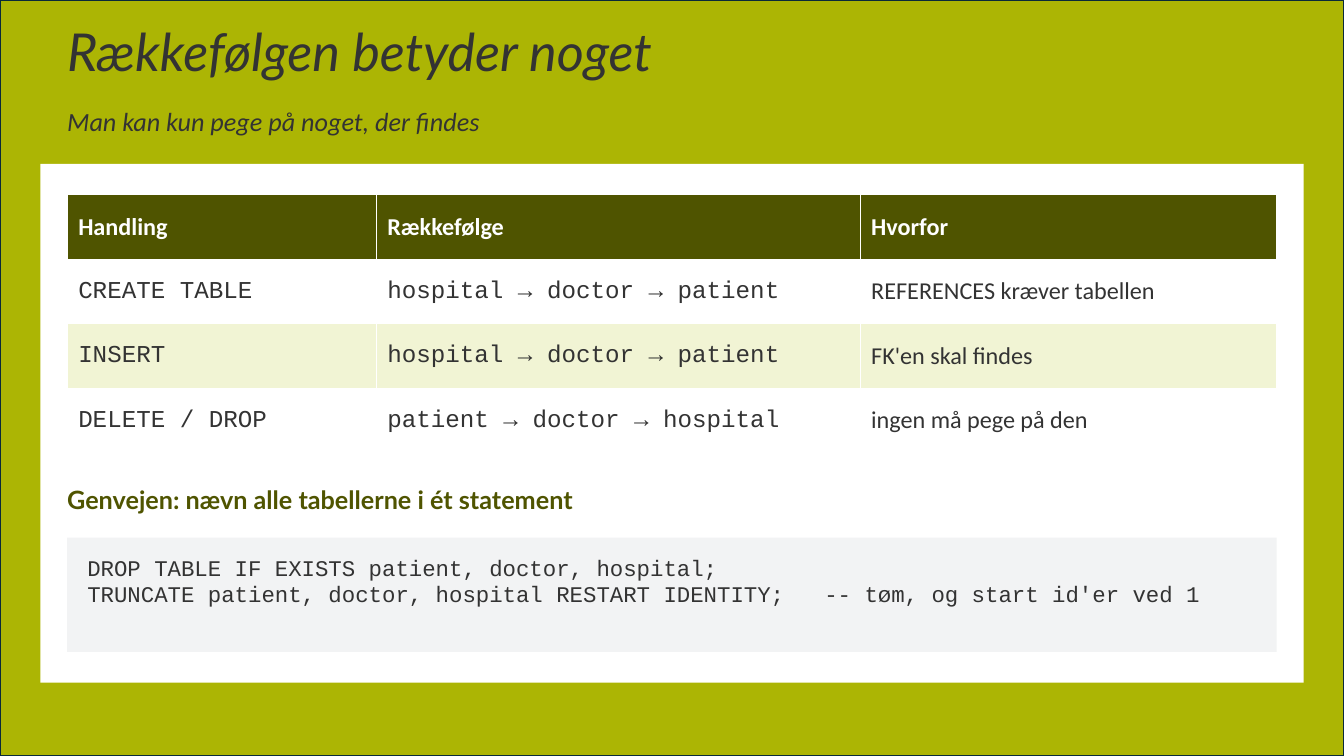
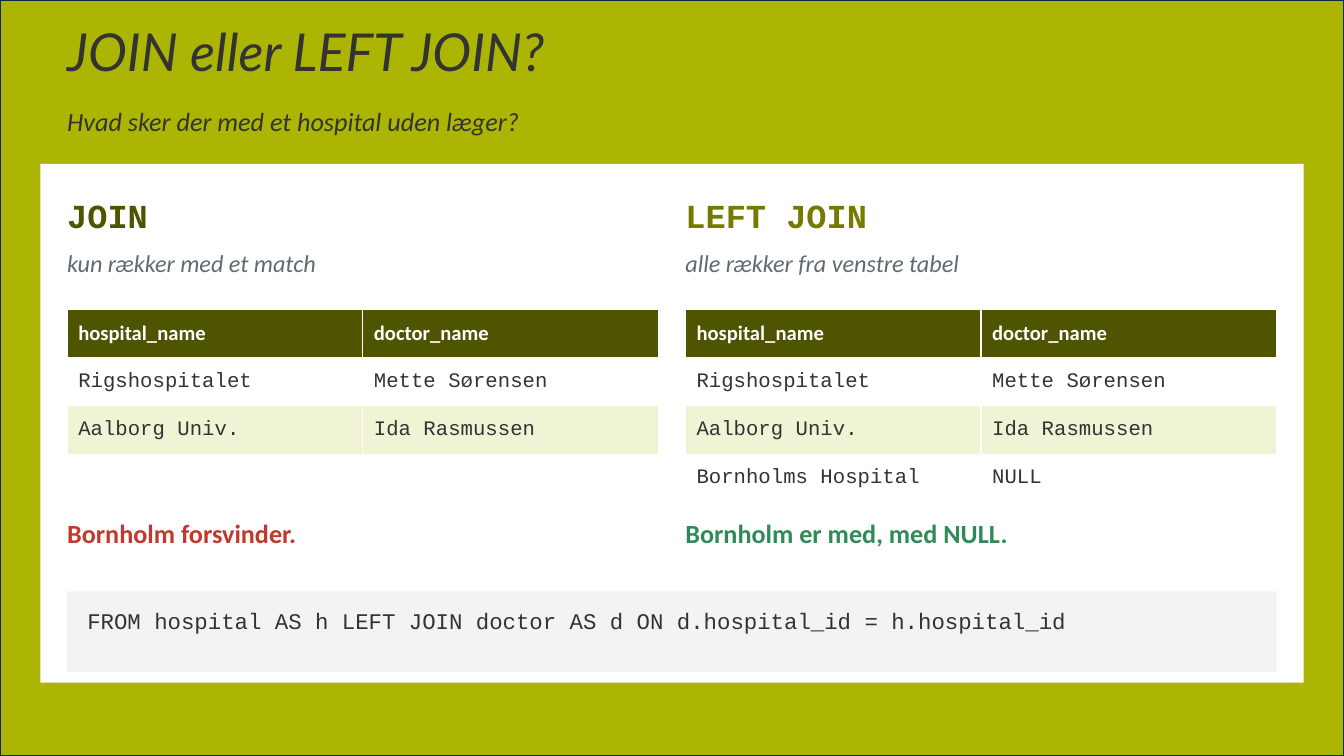
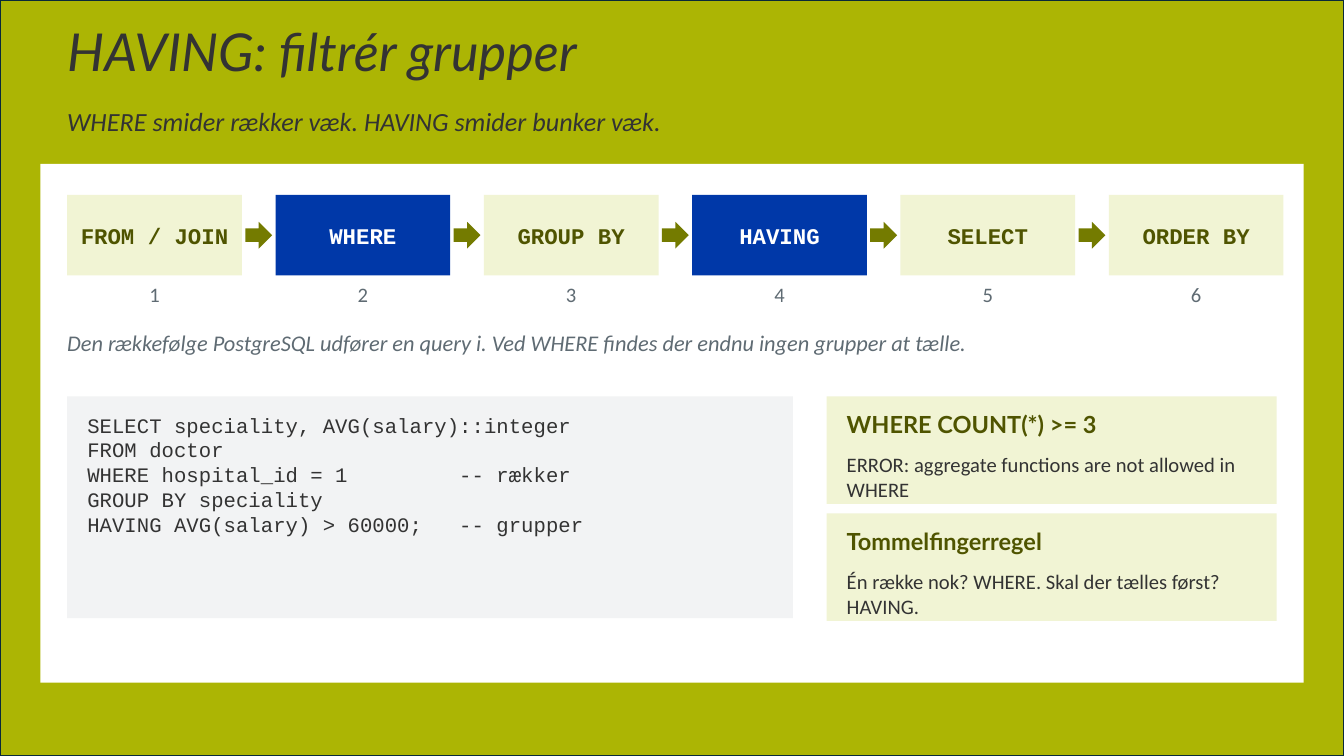
from pptx import Presentation
from pptx import util as u
from pptx.dml.color import RGBColor
from pptx.enum import shapes, text

LIME = RGBColor(0xAC, 0xB5, 0x04)
NAVY = RGBColor(0x09, 0x2A, 0x39)
WHITE = RGBColor(0xFF, 0xFF, 0xFF)
INK = RGBColor(0x33, 0x33, 0x33)
MOSS = RGBColor(0x4F, 0x54, 0x00)
OLIVE = RGBColor(0x74, 0x7B, 0x00)
PALE = RGBColor(0xF1, 0xF4, 0xD4)
MIST = RGBColor(0xF2, 0xF3, 0xF4)
SLATE = RGBColor(0x5F, 0x6B, 0x73)
BLUE = RGBColor(0x00, 0x38, 0xA8)
RED = RGBColor(0xC0, 0x39, 0x2B)
GREEN = RGBColor(0x2E, 0x8B, 0x57)

HEAD, BODY, MONO = "Lato", "Calibri", "Courier New"
RECT, ARROW = shapes.MSO_SHAPE.RECTANGLE, shapes.MSO_SHAPE.RIGHT_ARROW
LEFT, CENTER = text.PP_ALIGN.LEFT, text.PP_ALIGN.CENTER
TOP, MIDDLE = text.MSO_ANCHOR.TOP, text.MSO_ANCHOR.MIDDLE

COLS, ROWS = 200, 112.5
MARGIN, CONTENT, PANEL_TOP = 10, 180, 29
HALF, HALF_STEP = 88, 92


def grid(*cells):
    return [u.Inches(c / 15) for c in cells]


def write(tf, content, font=BODY, size=16, color=INK, bold=False, italic=False,
          align=LEFT, anchor=TOP, inset=(0, 0), spacing=None, before=0, append=False):
    tf.word_wrap = True
    tf.auto_size = text.MSO_AUTO_SIZE.NONE
    tf.vertical_anchor = anchor
    tf.margin_left, tf.margin_top = tf.margin_right, tf.margin_bottom = grid(*inset)
    for i, line in enumerate(content.split("\n")):
        p = tf.add_paragraph() if append or i else tf.paragraphs[0]
        p.alignment = align
        if spacing:
            p.line_spacing = spacing
        if before:
            p.space_before = u.Pt(before)
        r = p.add_run()
        r.text = line
        r.font.name, r.font.size = font, u.Pt(size)
        r.font.bold, r.font.italic = bold, italic
        r.font.color.rgb = color


def label(slide, x, y, w, h, content, **fmt):
    write(slide.shapes.add_textbox(*grid(x, y, w, h)).text_frame, content, **fmt)


def block(slide, x, y, w, h, fill, kind=RECT):
    sp = slide.shapes.add_shape(kind, *grid(x, y, w, h))
    sp.shadow.inherit = False
    sp.fill.solid()
    sp.fill.fore_color.rgb = fill
    sp.line.fill.background()
    return sp


def code(slide, x, y, w, h, content, size=16):
    sp = block(slide, x, y, w, h, MIST)
    write(sp.text_frame, content, font=MONO, size=size, inset=(3, 2.4))


def card(slide, x, y, w, h, heading, body):
    tf = block(slide, x, y, w, h, PALE).text_frame
    write(tf, heading, font=HEAD, size=16.8, color=MOSS, bold=True, inset=(3, 2))
    write(tf, body, size=14.7, inset=(3, 2), before=10, append=True)


def table(slide, x, y, widths, row_height, rows, fonts, size):
    frame = slide.shapes.add_table(len(rows), len(widths),
                                   *grid(x, y, sum(widths), row_height * len(rows)))
    tbl = frame.table
    for col, width in zip(tbl.columns, grid(*widths)):
        col.width = width
    for i, row in enumerate(rows):
        for j, content in enumerate(row):
            cell = tbl.cell(i, j)
            cell.fill.solid()
            cell.fill.fore_color.rgb = MOSS if i == 0 else WHITE if i % 2 else PALE
            header = i == 0
            write_cell(cell, content, BODY if header else fonts[j], size,
                       WHITE if header else INK, header)


def write_cell(cell, content, font, size, color, bold):
    cell.vertical_anchor = MIDDLE
    cell.margin_left = cell.margin_right = u.Inches(0.11)
    cell.margin_top = cell.margin_bottom = u.Inches(0.04)
    r = cell.text_frame.paragraphs[0].add_run()
    r.text = content
    r.font.name, r.font.size, r.font.bold = font, u.Pt(size), bold
    r.font.color.rgb = color


def add_backdrop(prs, slide):
    sp = block(slide, 0, 0, COLS, ROWS, LIME)
    sp.line.color.rgb = NAVY
    sp.line.width = u.Pt(1.5)
    prs.slide_master.shapes.element.insert(2, sp.element)


def base_slide(prs, title, subtitle):
    slide = prs.slides.add_slide(prs.slide_layouts[5])
    if len(prs.slides) == 1:
        add_backdrop(prs, slide)
    sp = slide.shapes.title
    sp.left, sp.top, sp.width, sp.height = grid(MARGIN, 4, CONTENT, 11)
    write(sp.text_frame, title, font=HEAD, size=37.3, italic=True, spacing=0.9)
    block(slide, 6, 24.4, COLS - 12, 77.2, WHITE)
    label(slide, MARGIN, 15.6, CONTENT, 7, subtitle, size=18.7, italic=True)
    return slide


def order_slide(prs):
    slide = base_slide(prs, "Rækkefølgen betyder noget",
                       "Man kan kun pege på noget, der findes")
    rows = [
        ("Handling", "Rækkefølge", "Hvorfor"),
        ("CREATE TABLE", "hospital → doctor → patient", "REFERENCES kræver tabellen"),
        ("INSERT", "hospital → doctor → patient", "FK'en skal findes"),
        ("DELETE / DROP", "patient → doctor → hospital", "ingen må pege på den"),
    ]
    table(slide, MARGIN, PANEL_TOP, (46, 72, 62), 9.6, rows, (MONO, MONO, BODY), 17.3)
    label(slide, MARGIN, 72, CONTENT, 7, "Genvejen: nævn alle tabellerne i ét statement",
          font=HEAD, size=18, color=MOSS, bold=True)
    code(slide, MARGIN, 80, CONTENT, 17,
         "DROP TABLE IF EXISTS patient, doctor, hospital;\n"
         "TRUNCATE patient, doctor, hospital RESTART IDENTITY;   "
         "-- tøm, og start id'er ved 1")


def join_slide(prs):
    slide = base_slide(prs, "JOIN eller LEFT JOIN?",
                       "Hvad sker der med et hospital uden læger?")
    rows = [
        ("hospital_name", "doctor_name"),
        ("Rigshospitalet", "Mette Sørensen"),
        ("Aalborg Univ.", "Ida Rasmussen"),
        ("Bornholms Hospital", "NULL"),
    ]
    sides = [
        ("JOIN", MOSS, "kun rækker med et match", rows[:3],
         "Bornholm forsvinder.", RED),
        ("LEFT JOIN", OLIVE, "alle rækker fra venstre tabel", rows,
         "Bornholm er med, med NULL.", GREEN),
    ]
    for i, (name, color, note, data, result, result_color) in enumerate(sides):
        x = MARGIN + i * HALF_STEP
        label(slide, x, PANEL_TOP, HALF, 8, name, font=MONO, size=24, color=color, bold=True)
        label(slide, x, 37, HALF, 6, note, size=17.3, color=SLATE, italic=True)
        table(slide, x, 46, (HALF / 2, HALF / 2), 7.2, data, (MONO, MONO), 14.7)
        label(slide, x, 77, HALF, 7, result, size=18.7, color=result_color, bold=True)
    code(slide, MARGIN, 88, CONTENT, 12,
         "FROM hospital AS h LEFT JOIN doctor AS d ON d.hospital_id = h.hospital_id")


def having_slide(prs):
    slide = base_slide(prs, "HAVING: filtrér grupper",
                       "WHERE smider rækker væk. HAVING smider bunker væk.")
    steps = ("FROM / JOIN", "WHERE", "GROUP BY", "HAVING", "SELECT", "ORDER BY")
    width, height, gap, arrow = 26, 12, 5, 4
    for i, step in enumerate(steps):
        x = MARGIN + i * (width + gap)
        active = step in ("WHERE", "HAVING")
        sp = block(slide, x, PANEL_TOP, width, height, BLUE if active else PALE)
        write(sp.text_frame, step, font=MONO, color=WHITE if active else MOSS,
              bold=True, align=CENTER, anchor=MIDDLE)
        label(slide, x, 42, width, 6, str(i + 1), size=14.7, color=SLATE, align=CENTER)
        if i < len(steps) - 1:
            block(slide, x + width + (gap - arrow) / 2, PANEL_TOP + (height - arrow) / 2,
                  arrow, arrow, OLIVE, ARROW)
    label(slide, MARGIN, 49, CONTENT, 7,
          "Den rækkefølge PostgreSQL udfører en query i. "
          "Ved WHERE findes der endnu ingen grupper at tælle.",
          color=SLATE, italic=True)
    code(slide, MARGIN, 59, 108, 33,
         "SELECT speciality, AVG(salary)::integer\n"
         "FROM doctor\n"
         "WHERE hospital_id = 1         -- rækker\n"
         "GROUP BY speciality\n"
         "HAVING AVG(salary) > 60000;   -- grupper", size=14.7)
    cards = [
        ("WHERE COUNT(*) >= 3", "ERROR: aggregate functions are not allowed in WHERE"),
        ("Tommelfingerregel", "Én række nok? WHERE. Skal der tælles først? HAVING."),
    ]
    for i, (heading, body) in enumerate(cards):
        card(slide, 123, 59 + i * 17.4, 67, 16, heading, body)


def main():
    prs = Presentation()
    prs.slide_width, prs.slide_height = grid(COLS, ROWS)
    order_slide(prs)
    join_slide(prs)
    having_slide(prs)
    prs.save("out.pptx")


if __name__ == "__main__":
    main()
